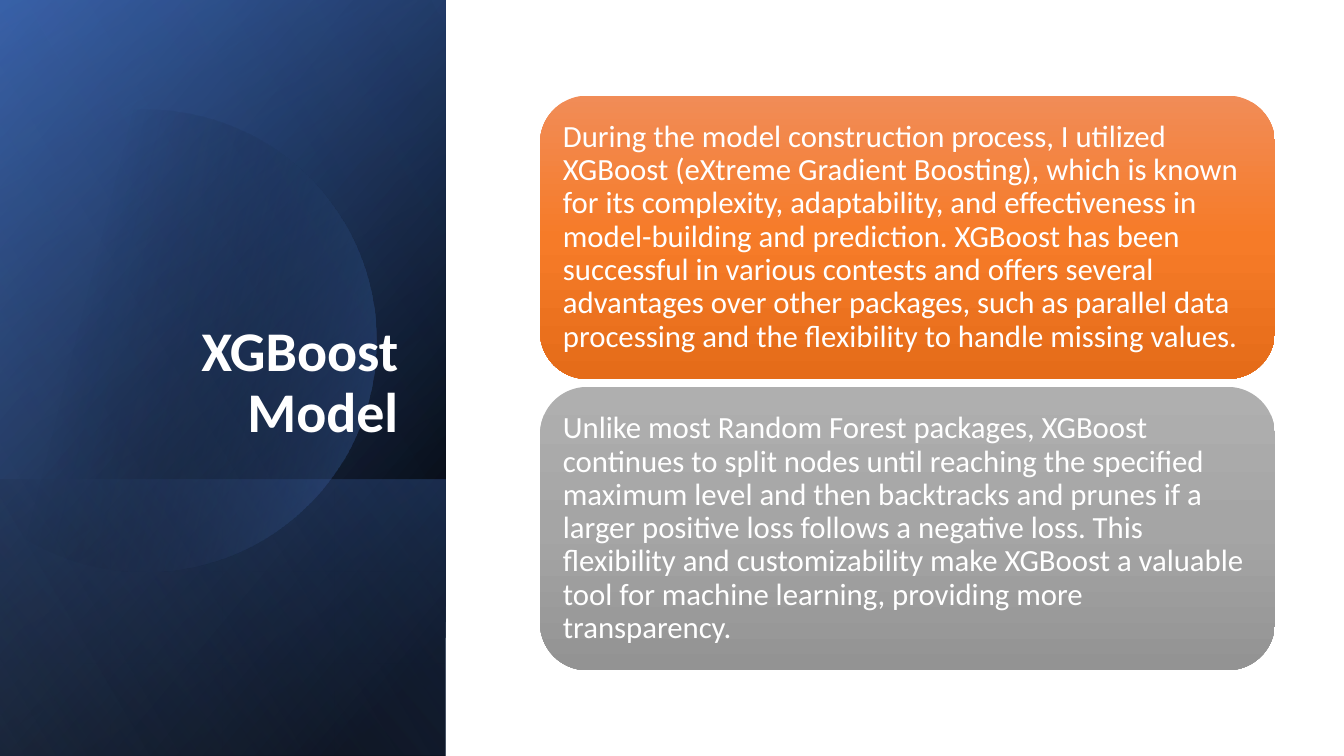
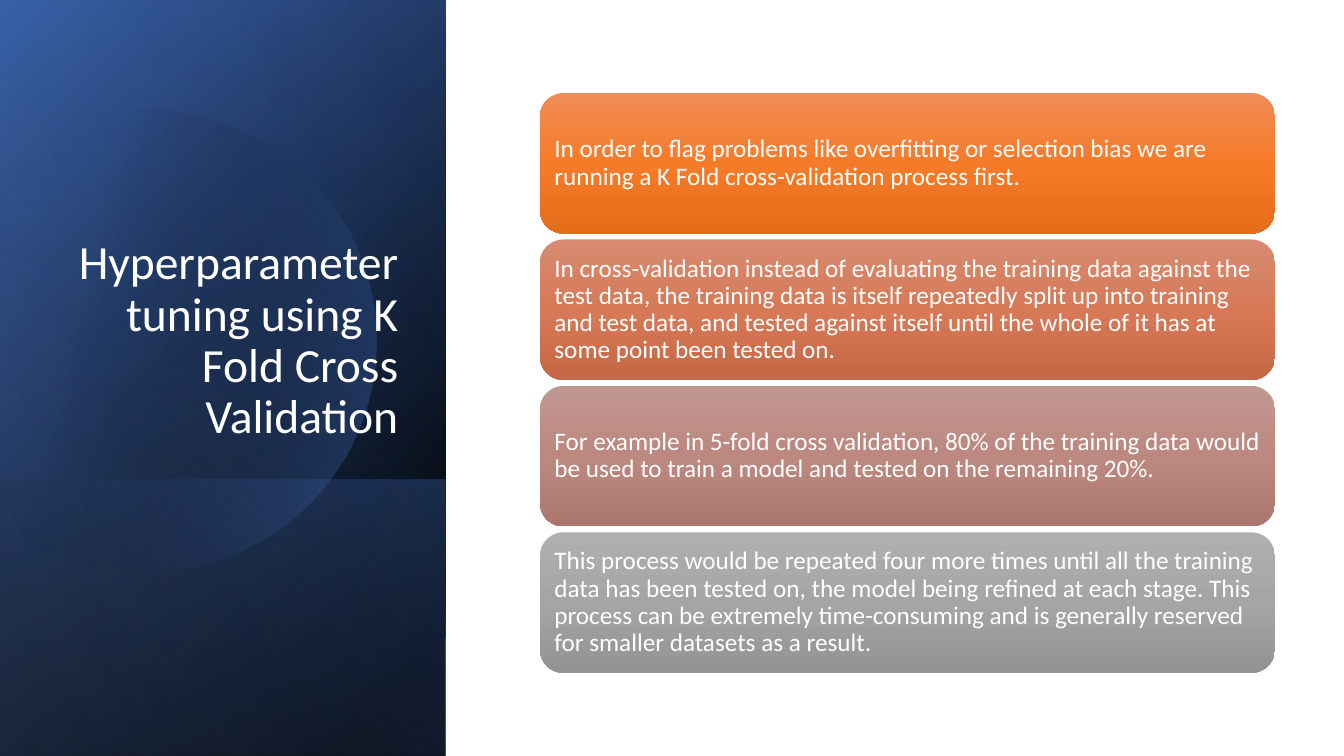
from math import acos, cos, sin

from lxml import etree
from pptx import Presentation
from pptx.dml.color import RGBColor
from pptx.enum.shapes import MSO_SHAPE
from pptx.enum.text import MSO_ANCHOR, MSO_AUTO_SIZE, PP_ALIGN
from pptx.oxml.ns import qn
from pptx.util import Cm, Pt

RECTANGLE = MSO_SHAPE.RECTANGLE
ROUNDED = MSO_SHAPE.ROUNDED_RECTANGLE
MIDDLE, BOTTOM = MSO_ANCHOR.MIDDLE, MSO_ANCHOR.BOTTOM
LEFT, RIGHT = PP_ALIGN.LEFT, PP_ALIGN.RIGHT
NO_AUTOFIT = MSO_AUTO_SIZE.NONE

FONT = "Calibri"
WHITE = RGBColor(0xFF, 0xFF, 0xFF)
BLACK = RGBColor(0x00, 0x00, 0x00)
NAVY = RGBColor(0x2F, 0x55, 0x97)
BLUE = RGBColor(0x44, 0x72, 0xC4)
PALE_BLUE = RGBColor(0x8F, 0xAA, 0xDC)

# Card gradients, from top to bottom
ORANGE = (RGBColor(0xF1, 0x8C, 0x57), RGBColor(0xF6, 0x7B, 0x28), RGBColor(0xE5, 0x6C, 0x19))
TERRACOTTA = (RGBColor(0xD7, 0x8B, 0x72), RGBColor(0xD7, 0x79, 0x56), RGBColor(0xC6, 0x68, 0x46))
ROSE = (RGBColor(0xC1, 0x97, 0x91), RGBColor(0xBC, 0x88, 0x80), RGBColor(0xAA, 0x76, 0x6E))
GRAY = (RGBColor(0xAF, 0xAF, 0xAF), RGBColor(0xA5, 0xA5, 0xA5), RGBColor(0x93, 0x93, 0x93))

# Lengths in centimetres
SLIDE_W, SLIDE_H = 33.87, 19.05
PANEL_W = 11.23
CARD_LEFT, CARD_W = 13.61, 18.52
STACK_MIDDLE = 9.65
DISC_X, DISC_Y, DISC_R, DISC_CUT = 3.66, 8.59, 5.82, -0.38
DISC_STEPS = 120

# Panel layers: height up from the slide's foot, gradient stops, angle
BASE_LAYERS = [
    (SLIDE_H, [(8, BLACK, 100), (100, NAVY, 100)], 50),
    (SLIDE_H, [(0, BLACK, 0), (99, BLUE, 46)], 30),
    (6.96, [(2, BLUE, 29), (100, BLACK, 30)], 130),
]
DISC_STOPS = [(29, BLACK, 0), (100, BLUE, 43)]
TOP_LAYER = (SLIDE_H, [(0, BLACK, 0), (99, PALE_BLUE, 11)], 120)

SLIDES = [
    {
        "title": "XGBoost Model", "title_size": 40, "bold": True,
        "card_height": 7.14, "gap": 0.2, "inset": 0.23, "text_size": 22,
        "cards": [
            (ORANGE, "During the model construction process, I utilized XGBoost (eXtreme Gradient "
             "Boosting), which is known for its complexity, adaptability, and effectiveness in "
             "model-building and prediction. XGBoost has been successful in various contests and "
             "offers several advantages over other packages, such as parallel data processing and "
             "the flexibility to handle missing values."),
            (GRAY, "Unlike most Random Forest packages, XGBoost continues to split nodes until "
             "reaching the specified maximum level and then backtracks and prunes if a larger "
             "positive loss follows a negative loss. This flexibility and customizability make "
             "XGBoost a valuable tool for machine learning, providing more transparency."),
        ],
    },
    {
        "title": "Hyperparameter tuning using K Fold Cross Validation",
        "title_size": 34, "bold": False,
        "card_height": 3.54, "gap": 0.15, "inset": 0.19, "text_size": 18,
        "cards": [
            (ORANGE, "In order to flag problems like overfitting or selection bias we are running "
             "a K Fold cross-validation process first."),
            (TERRACOTTA, "In cross-validation instead of evaluating the training data against the "
             "test data, the training data is itself repeatedly split up into training and test "
             "data, and tested against itself until the whole of it has at some point been tested "
             "on."),
            (ROSE, "For example in 5-fold cross validation, 80% of the training data would be used "
             "to train a model and tested on the remaining 20%."),
            (GRAY, "This process would be repeated four more times until all the training data has "
             "been tested on, the model being refined at each stage. This process can be extremely "
             "time-consuming and is generally reserved for smaller datasets as a result."),
        ],
    },
]


def paint(shape, stops, angle):
    """Fill with a linear gradient of (position, colour, opacity) stops, without line or shadow."""
    shape.fill.background()
    shape.line.fill.background()
    shape.shadow.inherit = False
    properties = shape._element.spPr
    gradient = etree.Element(qn("a:gradFill"), rotWithShape="1")
    stop_list = etree.SubElement(gradient, qn("a:gsLst"))
    for position, color, opacity in stops:
        stop = etree.SubElement(stop_list, qn("a:gs"), pos=str(position * 1000))
        rgb = etree.SubElement(stop, qn("a:srgbClr"), val=str(color))
        etree.SubElement(rgb, qn("a:alpha"), val=str(opacity * 1000))
    etree.SubElement(gradient, qn("a:lin"), ang=str(angle * 60000), scaled="0")
    properties.replace(properties.find(qn("a:noFill")), gradient)


def write(frame, text, size, align, anchor, bold=False):
    frame.word_wrap = True
    frame.auto_size = NO_AUTOFIT
    frame.vertical_anchor = anchor
    paragraph = frame.paragraphs[0]
    paragraph.alignment = align
    paragraph.line_spacing = 0.9
    run = paragraph.add_run()
    run.text = text
    run.font.name = FONT
    run.font.size = Pt(size)
    run.font.bold = bold
    run.font.color.rgb = WHITE


prs = Presentation()
prs.slide_width, prs.slide_height = Cm(SLIDE_W), Cm(SLIDE_H)
title_only = prs.slide_layouts[5]

# The disc is an arc closed by a straight cut on its left side
cut_angle = acos((DISC_CUT - DISC_X) / DISC_R)
arc_angles = [cut_angle * (2 * i / DISC_STEPS - 1) for i in range(DISC_STEPS + 1)]
disc_points = [(Cm(DISC_X + DISC_R * cos(a)), Cm(DISC_Y + DISC_R * sin(a))) for a in arc_angles]

for content in SLIDES:
    slide = prs.slides.add_slide(title_only)
    shapes = slide.shapes

    # Side panel: turned, mirrored rectangles with the disc under the last one
    for height, stops, angle in BASE_LAYERS + [TOP_LAYER]:
        if stops is TOP_LAYER[1]:
            outline = shapes.build_freeform(*disc_points[0])
            outline.add_line_segments(disc_points[1:], close=True)
            paint(outline.convert_to_shape(), DISC_STOPS, 14)
        layer = shapes.add_shape(
            RECTANGLE, Cm((PANEL_W - height) / 2), Cm(SLIDE_H - (height + PANEL_W) / 2),
            Cm(height), Cm(PANEL_W))
        layer.rotation = 90
        layer._element.spPr.find(qn("a:xfrm")).set("flipH", "1")
        paint(layer, stops, angle)

    # Title, brought in front of the panel
    title = shapes.title
    title.left, title.top, title.width, title.height = Cm(1.63), Cm(4.67), Cm(8.66), Cm(6.65)
    write(title.text_frame, content["title"], content["title_size"], RIGHT, BOTTOM,
          content["bold"])
    shapes._spTree.append(title._element)

    # Cards, stacked around a common middle
    cards = content["cards"]
    pitch = content["card_height"] + content["gap"]
    stack_top = STACK_MIDDLE - (len(cards) * pitch - content["gap"]) / 2
    for row, (colors, text) in enumerate(cards):
        card = shapes.add_shape(ROUNDED, Cm(CARD_LEFT), Cm(stack_top + row * pitch),
                                Cm(CARD_W), Cm(content["card_height"]))
        paint(card, [(50 * i, color, 100) for i, color in enumerate(colors)], 90)
        frame = card.text_frame
        frame.margin_left = frame.margin_right = Cm(content["inset"])
        frame.margin_top = frame.margin_bottom = Cm(content["inset"])
        write(frame, text, content["text_size"], LEFT, MIDDLE)

prs.save("out.pptx")
